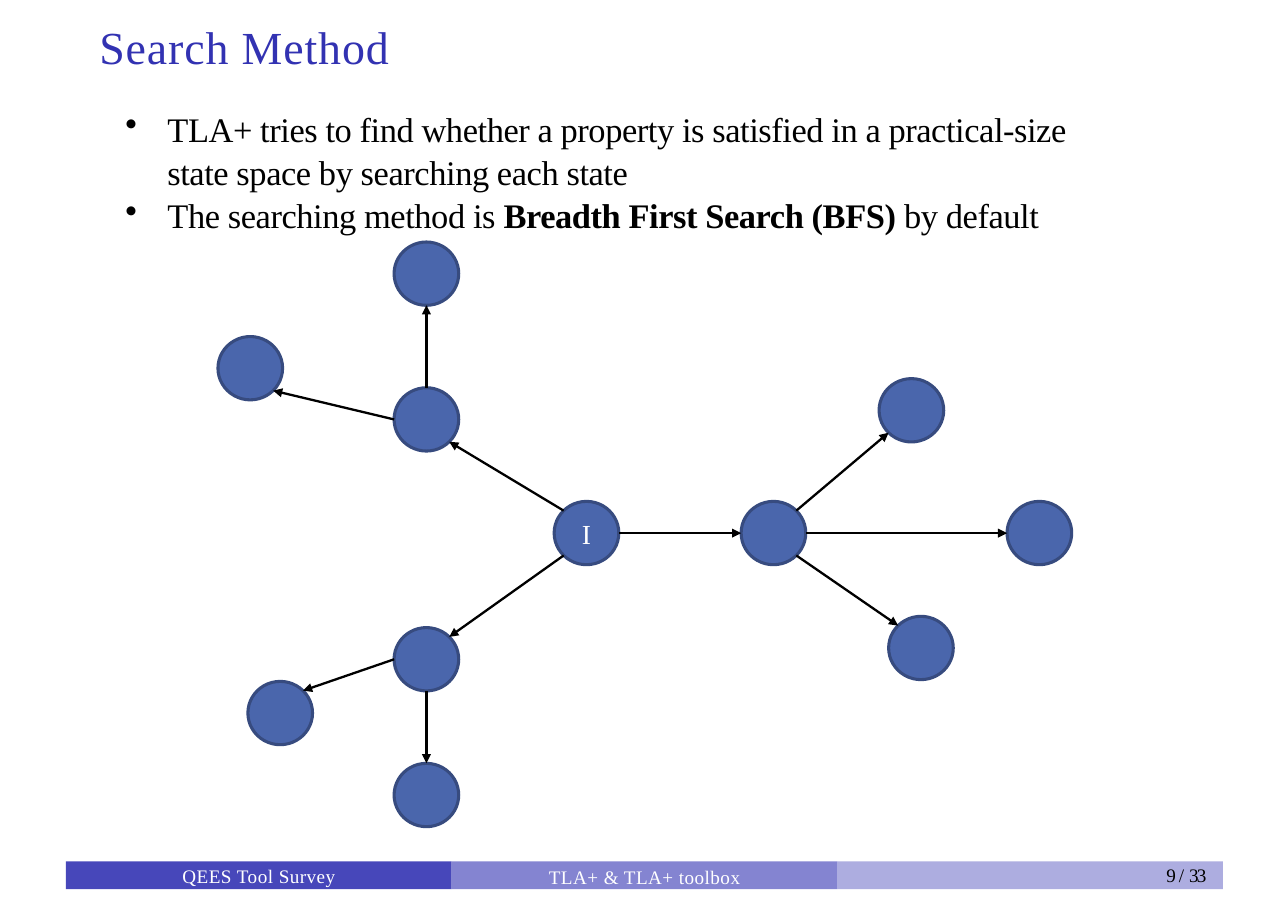
"""Build the Search Method slide with its state graph."""
from typing import Any, NamedTuple

from lxml import etree
from pptx import Presentation
from pptx.dml.color import RGBColor
from pptx.enum.shapes import MSO_CONNECTOR, MSO_SHAPE
from pptx.enum.text import MSO_ANCHOR, PP_ALIGN
from pptx.oxml.ns import qn
from pptx.util import Cm, Pt

OVAL = MSO_SHAPE.OVAL
RECT = MSO_SHAPE.RECTANGLE
LINE = MSO_CONNECTOR.STRAIGHT
MID = MSO_ANCHOR.MIDDLE
LEFT = PP_ALIGN.LEFT
CENTER = PP_ALIGN.CENTER

FACE = "Times New Roman"
HUES = {
    "ink": "000000", "white": "FFFFFF", "title": "3232B2",
    "node": "4A66AC", "rim": "374B7F",
    "dark": "4747BA", "mid": "8484D1", "pale": "ADADE0",
}
NODE_W, NODE_H = 1.49, 1.46
BAR_W, BAR_H = 8.89, 0.64
BAR_X, BAR_Y = 1.52, 19.86
DIAG = 0.5 ** 0.5
SITES = {
    "n": (0, -1), "s": (0, 1), "w": (-1, 0), "e": (1, 0),
    "nw": (-DIAG, -DIAG), "ne": (DIAG, -DIAG),
    "sw": (-DIAG, DIAG), "se": (DIAG, DIAG),
}


class Span(NamedTuple):
    """A run of text with its letter spacing."""
    text: str
    gap: float = 0
    bold: bool = False


class Label(NamedTuple):
    """A text box: place, size, look and paragraphs of spans."""
    box: tuple[float, float, float, float]
    size: float
    hue: str
    paras: list[list[Span]]
    form: dict[str, Any]
    inset: bool = False
    dent: tuple[float, float] = (0, 0)
    dot: str = ""


class Node(NamedTuple):
    """A state, given by its centre."""
    x: float
    y: float
    text: str = ""


class Edge(NamedTuple):
    """An arrow from a site of one state to a site of another."""
    start: str
    out: str
    end: str
    into: str


NODES = {
    "root": Node(13.52, 12.29, "I"),
    "upper": Node(9.83, 9.67),
    "lower": Node(9.83, 15.2),
    "right": Node(17.83, 12.29),
    "right low": Node(21.23, 14.94),
    "right high": Node(21.01, 9.46),
    "right far": Node(23.96, 12.29),
    "upper left": Node(5.77, 8.49),
    "upper top": Node(9.83, 6.31),
    "lower left": Node(6.46, 16.44),
    "lower end": Node(9.83, 18.33),
}
EDGES = [
    Edge("root", "e", "right", "w"),
    Edge("root", "nw", "upper", "se"),
    Edge("root", "sw", "lower", "ne"),
    Edge("upper", "w", "upper left", "se"),
    Edge("upper", "n", "upper top", "s"),
    Edge("lower", "w", "lower left", "ne"),
    Edge("lower", "s", "lower end", "n"),
    Edge("right", "ne", "right high", "sw"),
    Edge("right", "e", "right far", "w"),
    Edge("right", "se", "right low", "nw"),
]
FOOT = {"alignment": CENTER, "line_spacing": Pt(13.2)}
LABELS = [
    Label((3, 19.99, 5.94, 0.46), 12.5, "white",
          [[Span("QEES Tool Survey", 0.3)]], FOOT),
    Label((11.89, 20.02, 5.94, 0.46), 12.5, "white",
          [[Span("TLA+ & TLA+ toolbox", 0.3)]], FOOT),
    Label((26.59, 19.99, 1.57, 0.48), 12.5, "ink",
          [[Span("9 ", -1.3), Span("/ ", 0.1), Span("33", -1.3)]],
          {"alignment": LEFT, "line_spacing": Pt(12.8)}, dent=(0.3, 0)),
    Label((2.29, 0.43, 25.15, 1.27), 30, "title",
          [[Span("Search Method", 0.6)]],
          {"alignment": LEFT, "space_before": Pt(3)}),
    Label((1.35, 2.31, 23.65, 3.15), 22.5, "ink",
          [[Span("TLA+ tries to find whether a property is satisfied in a "
                 "practical-size state space by searching each state", -0.3)],
           [Span("The searching method is ", -0.3),
            Span("Breadth First Search (BFS) ", -0.3, True),
            Span("by default", -0.3)]],
          {"alignment": LEFT, "line_spacing": 1.05},
          inset=True, dent=(2.26, -0.97), dot="•"),
]


def tint(name: str) -> RGBColor:
    """Return the named colour."""
    return RGBColor.from_string(HUES[name])


def assign(item: Any, form: dict[str, Any]) -> None:
    """Set each attribute in the format dict."""
    for key, value in form.items():
        setattr(item, key, value)


def write(para: Any, span: Span, size: float, hue: str) -> None:
    """Add one formatted run to a paragraph."""
    run = para.add_run()
    run.text = span.text
    assign(run.font, {"name": FACE, "size": Pt(size), "bold": span.bold})
    run.font.color.rgb = tint(hue)
    run.font._element.set("spc", str(round(span.gap * 100)))


def draw_label(slide: Any, label: Label) -> None:
    """Draw a text box."""
    frame = slide.shapes.add_textbox(*map(Cm, label.box)).text_frame
    frame.word_wrap = True
    if not label.inset:
        assign(frame, {f"margin_{side}": 0
                       for side in ("left", "top", "right", "bottom")})
    for i, spans in enumerate(label.paras):
        para = frame.add_paragraph() if i else frame.paragraphs[0]
        assign(para, label.form)
        props = para._p.get_or_add_pPr()
        for key, value in zip(("marL", "indent"), label.dent):
            props.set(key, str(Cm(value)))
        if label.dot:
            etree.SubElement(props, qn("a:buChar")).set("char", label.dot)
        for span in spans:
            write(para, span, label.size, label.hue)


def draw_bar(slide: Any, col: int, hue: str) -> None:
    """Draw one third of the footer band."""
    bar = slide.shapes.add_shape(
        RECT, Cm(BAR_X + col * BAR_W), Cm(BAR_Y), Cm(BAR_W), Cm(BAR_H))
    bar.shadow.inherit = False
    bar.fill.solid()
    bar.fill.fore_color.rgb = tint(hue)
    bar.line.fill.background()


def draw_node(slide: Any, node: Node) -> None:
    """Draw a state as an ellipse."""
    oval = slide.shapes.add_shape(
        OVAL, Cm(node.x - NODE_W / 2), Cm(node.y - NODE_H / 2),
        Cm(NODE_W), Cm(NODE_H))
    oval.shadow.inherit = False
    oval.fill.solid()
    oval.fill.fore_color.rgb = tint("node")
    oval.line.color.rgb = tint("rim")
    oval.line.width = Pt(2)
    if node.text:
        oval.text_frame.vertical_anchor = MID
        para = oval.text_frame.paragraphs[0]
        para.alignment = CENTER
        write(para, Span(node.text), 18, "white")


def find_site(name: str, site: str) -> tuple[Cm, Cm]:
    """Return the point on a state's rim."""
    node, (dx, dy) = NODES[name], SITES[site]
    return Cm(node.x + dx * NODE_W / 2), Cm(node.y + dy * NODE_H / 2)


def draw_edge(slide: Any, edge: Edge) -> None:
    """Draw an arrow between two states."""
    line = slide.shapes.add_connector(
        LINE, *find_site(edge.start, edge.out), *find_site(edge.end, edge.into))
    line.line.color.rgb = tint("ink")
    line.line.width = Pt(1.5)
    tip = etree.SubElement(line.line._get_or_add_ln(), qn("a:tailEnd"))
    tip.set("type", "triangle")
    etree.SubElement(line._element.spPr, qn("a:effectLst"))


def main() -> None:
    """Build and save the deck."""
    deck = Presentation()
    deck.slide_width, deck.slide_height = Cm(29.69), Cm(20.98)
    slide = deck.slides.add_slide(deck.slide_layouts[6])
    for col, hue in enumerate(("dark", "mid", "pale")):
        draw_bar(slide, col, hue)
    for label in LABELS:
        draw_label(slide, label)
    for node in NODES.values():
        draw_node(slide, node)
    for edge in EDGES:
        draw_edge(slide, edge)
    deck.save("out.pptx")


if __name__ == "__main__":
    main()
